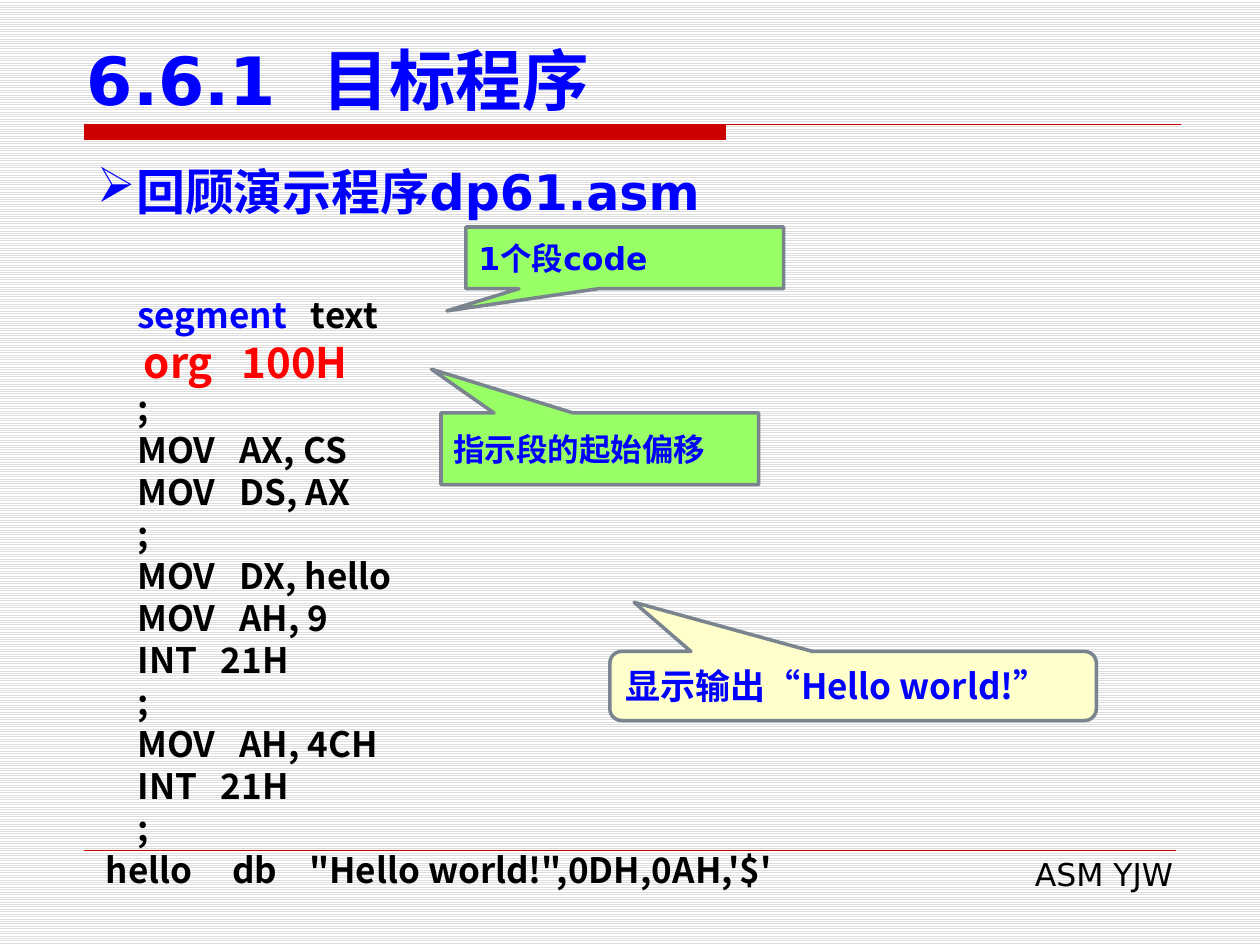
from dataclasses import dataclass

import pptx
import pptx.dml.color
import pptx.enum.dml
import pptx.enum.shapes
import pptx.enum.text
import pptx.oxml.ns
import pptx.util
from lxml import etree

Pt = pptx.util.Pt
Shapes = pptx.enum.shapes.MSO_SHAPE
Anchor = pptx.enum.text.MSO_ANCHOR
Align = pptx.enum.text.PP_ALIGN
qn = pptx.oxml.ns.qn

COLORS = {
    "red": "CC0000", "blue": "0000FF", "black": "000000", "code red": "FF0000",
    "green": "99FF66", "cream": "FFFFCC", "outline": "79848F",
    "stripe": "DDDDDD", "white": "FFFFFF",
}
LATIN = "DejaVu Sans"
CJK = "Noto Sans CJK SC"


@dataclass
class Span:
    text: str
    size: float = 20
    color: str = "black"
    font: str = CJK
    bold: bool = True


@dataclass
class Callout:
    kind: int
    area: tuple
    tip: tuple
    fill: str
    span: Span


CODE = [
    [Span("    "), Span("segment", color="blue"), Span("   text")],
    [Span("    org   100H", 24, "code red")],
] + [[Span(line)] for line in (
    "    ;", "    MOV   AX, CS", "    MOV   DS, AX",
    "    ;", "    MOV   DX, hello", "    MOV   AH, 9", "    INT   21H",
    "    ;", "    MOV   AH, 4CH", "    INT   21H",
    "    ;", "hello     db    \"Hello world!\",0DH,0AH,'$'",
)]

OUTPUT_NOTE = Callout(
    Shapes.ROUNDED_RECTANGULAR_CALLOUT, (348.5, 372.25, 278, 39.5),
    (-0.45, -1.21, 0.17), "cream", Span("显示输出“Hello world!”", 20, "blue"))
SEGMENT_NOTES = [
    Callout(Shapes.RECTANGULAR_CALLOUT, (252, 236, 181.5, 41),
            (-0.53, -1.11), "green", Span("指示段的起始偏移", 18, "blue", LATIN)),
    Callout(Shapes.RECTANGULAR_CALLOUT, (266.25, 129.75, 181.5, 35.25),
            (-0.56, 0.86), "green", Span("1个段code", 18, "blue", LATIN)),
]


def color(name: str) -> pptx.dml.color.RGBColor:
    return pptx.dml.color.RGBColor.from_string(COLORS[name])


def add_span(para, span: Span) -> None:
    run = para.add_run()
    run.text = span.text
    run.font.size = Pt(span.size)
    run.font.bold = span.bold
    run.font.color.rgb = color(span.color)
    run.font.name = span.font
    east_asian = etree.SubElement(run.font._element, qn("a:ea"))
    east_asian.set("typeface", CJK)


def add_text_box(page, area: tuple):
    box = page.shapes.add_textbox(*map(Pt, area))
    box.text_frame.word_wrap = True
    return box.text_frame


def draw_background(page) -> None:
    fill = page.background.fill
    fill.patterned()
    fill.pattern = pptx.enum.dml.MSO_PATTERN.LIGHT_HORIZONTAL
    fill.fore_color.rgb = color("stripe")
    fill.back_color.rgb = color("white")


def draw_title_rule(page) -> None:
    left, middle, right, top, bottom = 48.25, 414.5, 674.75, 71.25, 79.5
    outline = page.shapes.build_freeform(Pt(right), Pt(top), scale=1.0)
    corners = [(left, top), (left, bottom), (middle, bottom), (middle, top)]
    outline.add_line_segments([(Pt(x), Pt(y)) for x, y in corners], close=True)
    rule = outline.convert_to_shape()
    rule.shadow.inherit = False
    rule.fill.solid()
    rule.fill.fore_color.rgb = color("red")
    rule.line.color.rgb = color("red")
    rule.line.width = Pt(0.75)


def draw_footer(page) -> None:
    line = page.shapes.add_connector(
        pptx.enum.shapes.MSO_CONNECTOR.STRAIGHT, Pt(48.25), Pt(486), Pt(672), Pt(486))
    line.line.color.rgb = color("red")
    line.line.width = Pt(0.25)
    etree.SubElement(line._element.spPr, qn("a:effectLst"))
    para = add_text_box(page, (275, 485.25, 402.5, 29)).paragraphs[0]
    para.alignment = Align.RIGHT
    add_span(para, Span("ASM YJW", 18, font=LATIN, bold=False))


def draw_title(page) -> None:
    title = page.shapes.title
    title.left, title.top, title.width, title.height = map(Pt, (42.5, 20.25, 652.5, 51))
    frame = title.text_frame
    frame.auto_size = pptx.enum.text.MSO_AUTO_SIZE.NONE
    frame.vertical_anchor = Anchor.BOTTOM
    para = frame.paragraphs[0]
    para.alignment = Align.LEFT
    add_span(para, Span("6.6.1  目标程序", 38, "blue", LATIN))


def draw_heading(page) -> None:
    para = add_text_box(page, (48.25, 88.5, 623.5, 41)).paragraphs[0]
    properties = para._element.get_or_add_pPr()
    properties.set("marL", str(Pt(22.5)))
    properties.set("indent", str(-Pt(22.5)))
    etree.SubElement(properties, qn("a:buChar")).set("char", "➢")
    para.alignment = Align.JUSTIFY
    add_span(para, Span("回顾演示程序dp61.asm", 28, "blue", LATIN))


def draw_code(page) -> None:
    frame = add_text_box(page, (53.25, 162, 652.5, 351.5))
    frame.margin_top = Pt(6)
    for index, spans in enumerate(CODE):
        para = frame.add_paragraph() if index else frame.paragraphs[0]
        para.line_spacing = Pt(1.2 * spans[0].size)
        for span in spans:
            add_span(para, span)


def draw_callout(page, callout: Callout) -> None:
    shape = page.shapes.add_shape(callout.kind, *map(Pt, callout.area))
    for index, value in enumerate(callout.tip):
        shape.adjustments[index] = value
    shape.shadow.inherit = False
    shape.fill.solid()
    shape.fill.fore_color.rgb = color(callout.fill)
    shape.line.color.rgb = color("outline")
    shape.line.width = Pt(2)
    frame = shape.text_frame
    frame.word_wrap = True
    frame.vertical_anchor = Anchor.MIDDLE
    frame.paragraphs[0].alignment = Align.LEFT
    add_span(frame.paragraphs[0], callout.span)


def main() -> None:
    deck = pptx.Presentation()
    deck.slide_width, deck.slide_height = Pt(720), Pt(540)
    page = deck.slides.add_slide(deck.slide_layouts.get_by_name("Title Only"))
    draw_background(page)
    draw_title_rule(page)
    draw_footer(page)
    draw_title(page)
    draw_heading(page)
    draw_callout(page, OUTPUT_NOTE)
    draw_code(page)
    for note in SEGMENT_NOTES:
        draw_callout(page, note)
    deck.save("out.pptx")


if __name__ == "__main__":
    main()
